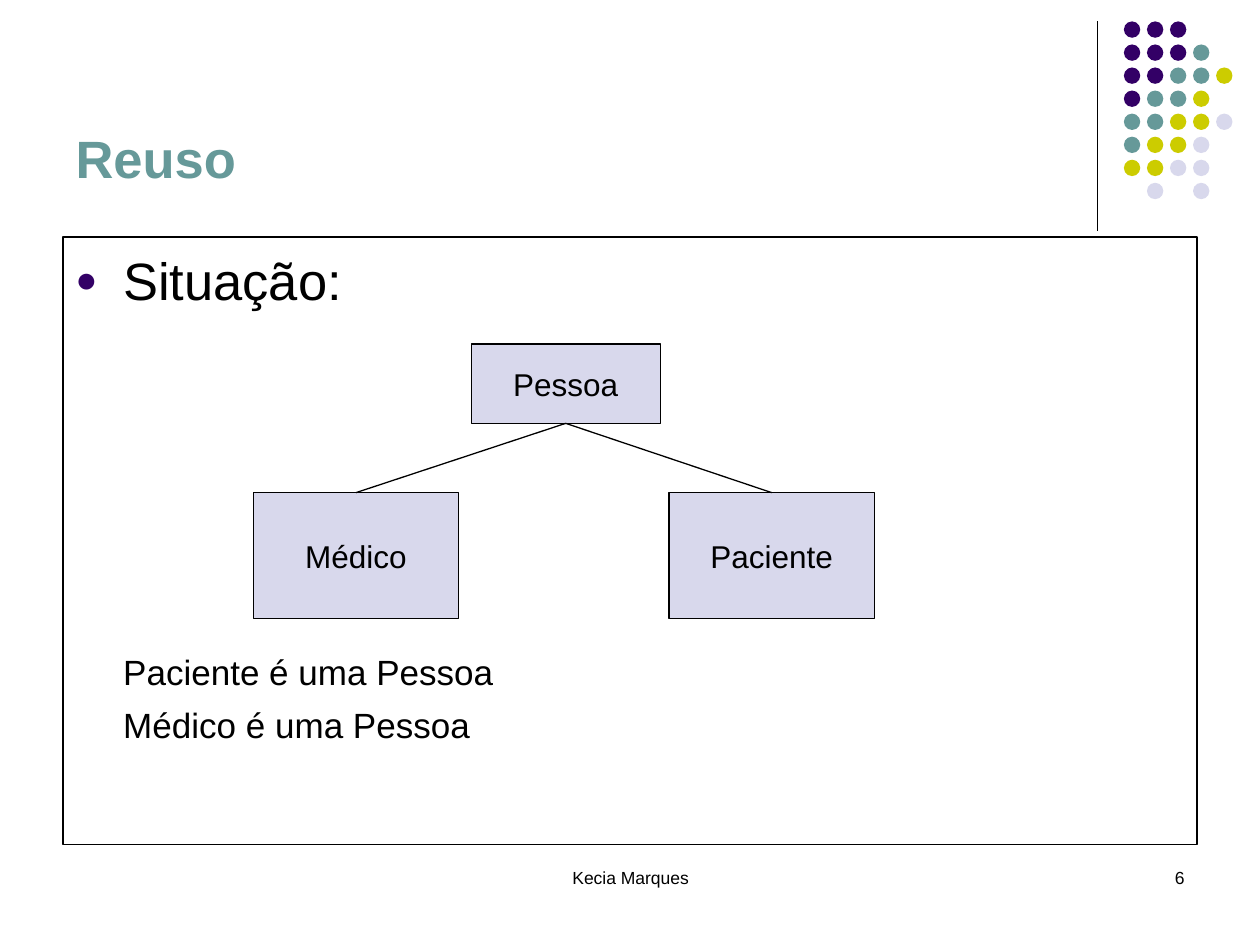
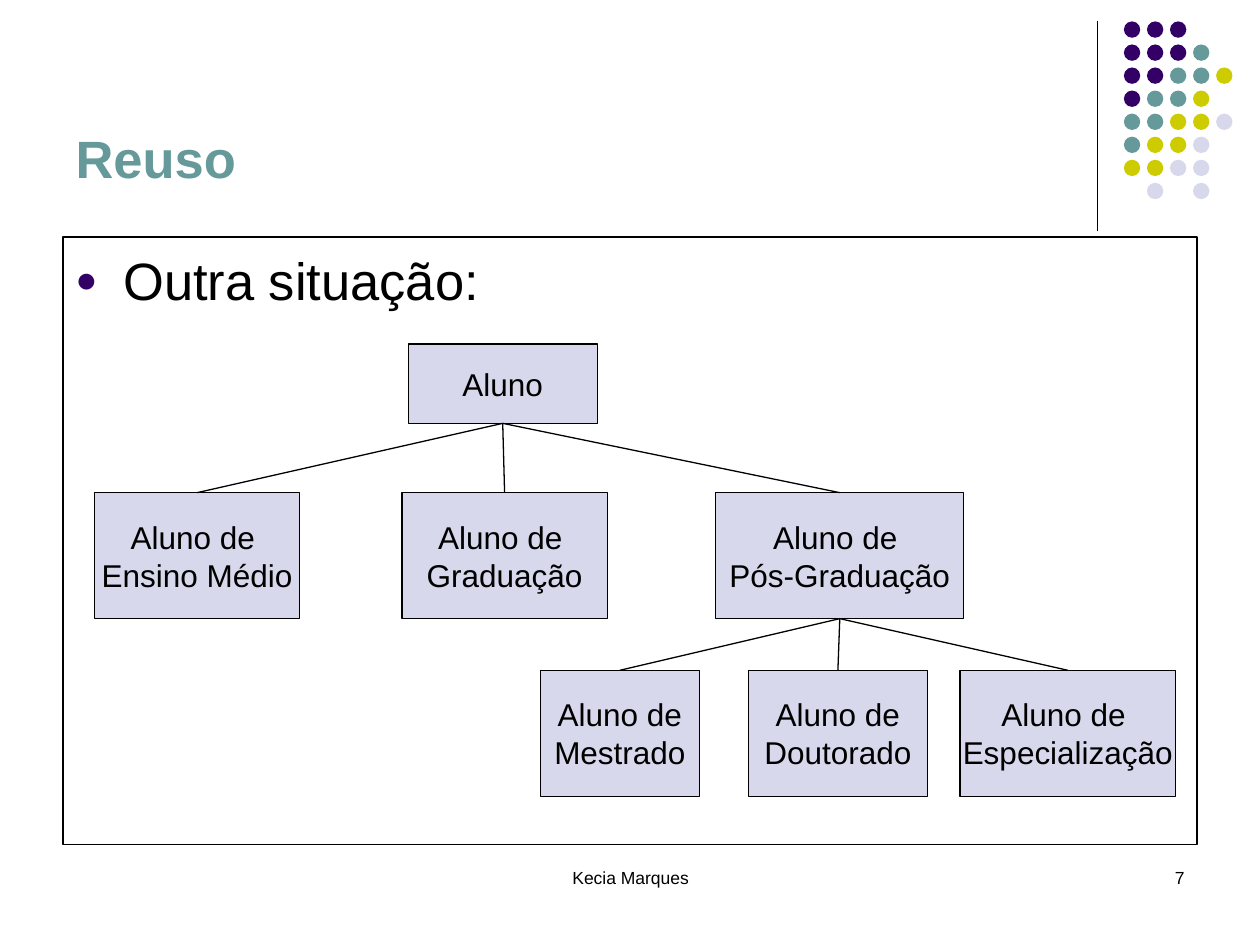
from dataclasses import dataclass

import lxml.etree
import pptx
import pptx.dml.color
import pptx.enum.shapes
import pptx.enum.text
import pptx.oxml.ns
import pptx.util

Inches = pptx.util.Inches
Pt = pptx.util.Pt
qn = pptx.oxml.ns.qn
ALIGN = pptx.enum.text.PP_ALIGN
ANCHOR = pptx.enum.text.MSO_ANCHOR
SHAPE = pptx.enum.shapes.MSO_SHAPE


@dataclass(frozen=True)
class Theme:
    font: str = "Arial"
    black: str = "000000"
    purple: str = "330066"
    teal: str = "669999"
    olive: str = "CCCC00"
    lilac: str = "D8D8EC"
    heading: int = 30
    detail: int = 20
    node: int = 18
    footer: int = 10
    line: float = 0.75


T = Theme()
FIRST_NUMBER = 6
DOT_COLORS = {"p": T.purple, "t": T.teal, "o": T.olive, "l": T.lilac}
DOT_ROWS = ["ppp", "pppt", "pptto", "ptto", "ttool", "tool", "ooll", " l l"]
PARENT_ROW = (2.73, 0.63)
CHILD_ROW = (3.91, 1)
GRANDCHILD_ROW = (5.32, 1)


def rgb(value):
    return pptx.dml.color.RGBColor.from_string(value)


def box(*lengths):
    return [Inches(v) for v in lengths]


def style(p, size, color=T.black, align=ALIGN.LEFT, bold=False):
    p.alignment = align
    p.font.name = T.font
    p.font.size = Pt(size)
    p.font.bold = bold
    p.font.color.rgb = rgb(color)


def outline(shape):
    shape.line.color.rgb = rgb(T.black)
    shape.line.width = Pt(T.line)


def add_line(s, start=(0, 0), end=(0, 0)):
    line = s.shapes.add_connector(
        pptx.enum.shapes.MSO_CONNECTOR.STRAIGHT, *box(*start, *end))
    outline(line)
    lxml.etree.SubElement(line._element.spPr, qn("a:effectLst"))
    return line


def add_dots(s):
    group = s.shapes.add_group_shape()
    for row, keys in enumerate(DOT_ROWS):
        for col, key in enumerate(keys):
            if key == " ":
                continue
            dot = group.shapes.add_shape(SHAPE.OVAL, *box(
                8.92 + col * 0.183, 0.17 + row * 0.183, 0.13, 0.13))
            dot.shadow.inherit = False
            dot.fill.solid()
            dot.fill.fore_color.rgb = rgb(DOT_COLORS[key])
            dot.line.fill.background()


def add_title(s, text):
    title = s.shapes.title
    title.left, title.top, title.width, title.height = box(0.5, 0.13, 8.25, 1.42)
    tf = title.text_frame
    tf.text = text
    tf.vertical_anchor = ANCHOR.BOTTOM
    style(tf.paragraphs[0], T.heading, T.teal, bold=True)


def add_footer(s, left, width, align):
    tf = s.shapes.add_textbox(*box(left, 6.83, width, 0.5)).text_frame
    tf.word_wrap = True
    p = tf.paragraphs[0]
    style(p, T.footer, align=align)
    return p


def add_number(p, number):
    field = lxml.etree.SubElement(p._p, qn("a:fld"), {
        "id": "{B6F15528-21DE-4FAA-801E-634DDDAF4B2B}", "type": "slidenum"})
    props = lxml.etree.SubElement(field, qn("a:rPr"), sz=str(T.footer * 100))
    fill = lxml.etree.SubElement(props, qn("a:solidFill"))
    lxml.etree.SubElement(fill, qn("a:srgbClr"), val=T.black)
    lxml.etree.SubElement(props, qn("a:latin"), typeface=T.font)
    lxml.etree.SubElement(field, qn("a:t")).text = str(number)


def indent(p, left, first=0):
    props = p._p.get_or_add_pPr()
    props.set("marL", str(Inches(left)))
    props.set("indent", str(Inches(first)))
    return props


def add_bullet(p):
    props = indent(p, 0.38, -0.38)
    color = lxml.etree.SubElement(props, qn("a:buClr"))
    lxml.etree.SubElement(color, qn("a:srgbClr"), val=T.purple)
    lxml.etree.SubElement(props, qn("a:buSzPct"), val="70000")
    lxml.etree.SubElement(props, qn("a:buFont"), typeface=T.font)
    lxml.etree.SubElement(props, qn("a:buChar"), char="●")


def add_body(s, heading, details=()):
    frame = s.shapes.add_shape(SHAPE.RECTANGLE, *box(0.5, 1.88, 9, 4.82))
    frame.shadow.inherit = False
    frame.fill.background()
    outline(frame)
    tf = frame.text_frame
    tf.word_wrap = True
    tf.vertical_anchor = ANCHOR.TOP
    tf.margin_top = Inches(0.09)
    p = tf.paragraphs[0]
    p.text = heading
    add_bullet(p)
    style(p, T.heading)
    for i, text in enumerate(details):
        p = tf.add_paragraph()
        p.text = text
        indent(p, 0.38)
        p.space_before = Pt(6 if i else 194)
        style(p, T.detail)


def add_node(s, text, left, width, row):
    top, height = row
    node = s.shapes.add_shape(SHAPE.RECTANGLE, *box(left, top, width, height))
    node.shadow.inherit = False
    node.fill.solid()
    node.fill.fore_color.rgb = rgb(T.lilac)
    outline(node)
    tf = node.text_frame
    tf.text = text
    tf.word_wrap = False
    tf.vertical_anchor = ANCHOR.MIDDLE
    for p in tf.paragraphs:
        style(p, T.node, align=ALIGN.CENTER)
    return node


def add_children(s, parent, row, children):
    nodes = [add_node(s, *child, row) for child in children]
    for node in nodes:
        line = add_line(s)
        line.begin_connect(parent, 2)
        line.end_connect(node, 0)
    return nodes


def add_slide(prs, heading, details=()):
    s = prs.slides.add_slide(prs.slide_layouts[5])
    add_line(s, (8.71, 0.17), (8.71, 1.83))
    add_dots(s)
    add_footer(s, 3.42, 3.17, ALIGN.CENTER).text = "Kecia Marques"
    number = FIRST_NUMBER + len(prs.slides) - 1
    add_number(add_footer(s, 7.17, 2.33, ALIGN.RIGHT), number)
    add_title(s, "Reuso")
    add_body(s, heading, details)
    return s


def add_person_slide(prs):
    s = add_slide(prs, "Situação:",
                  ["Paciente é uma Pessoa", "Médico é uma Pessoa"])
    person = add_node(s, "Pessoa", 3.74, 1.5, PARENT_ROW)
    add_children(s, person, CHILD_ROW, [
        ("Médico", 2.01, 1.63),
        ("Paciente", 5.31, 1.63),
    ])


def add_student_slide(prs):
    s = add_slide(prs, "Outra situação:")
    student = add_node(s, "Aluno", 3.24, 1.5, PARENT_ROW)
    levels = add_children(s, student, CHILD_ROW, [
        ("Aluno de \nEnsino Médio", 0.75, 1.63),
        ("Aluno de \nGraduação", 3.19, 1.63),
        ("Aluno de \nPós-Graduação", 5.68, 1.97),
    ])
    add_children(s, levels[-1], GRANDCHILD_ROW, [
        ("Aluno de\nMestrado", 4.29, 1.26),
        ("Aluno de\nDoutorado", 5.94, 1.42),
        ("Aluno de \nEspecialização", 7.62, 1.71),
    ])


def main():
    prs = pptx.Presentation()
    prs.slide_width, prs.slide_height = box(10, 7.5)
    prs.element.set("firstSlideNum", str(FIRST_NUMBER))
    add_person_slide(prs)
    add_student_slide(prs)
    prs.save("out.pptx")


if __name__ == "__main__":
    main()
